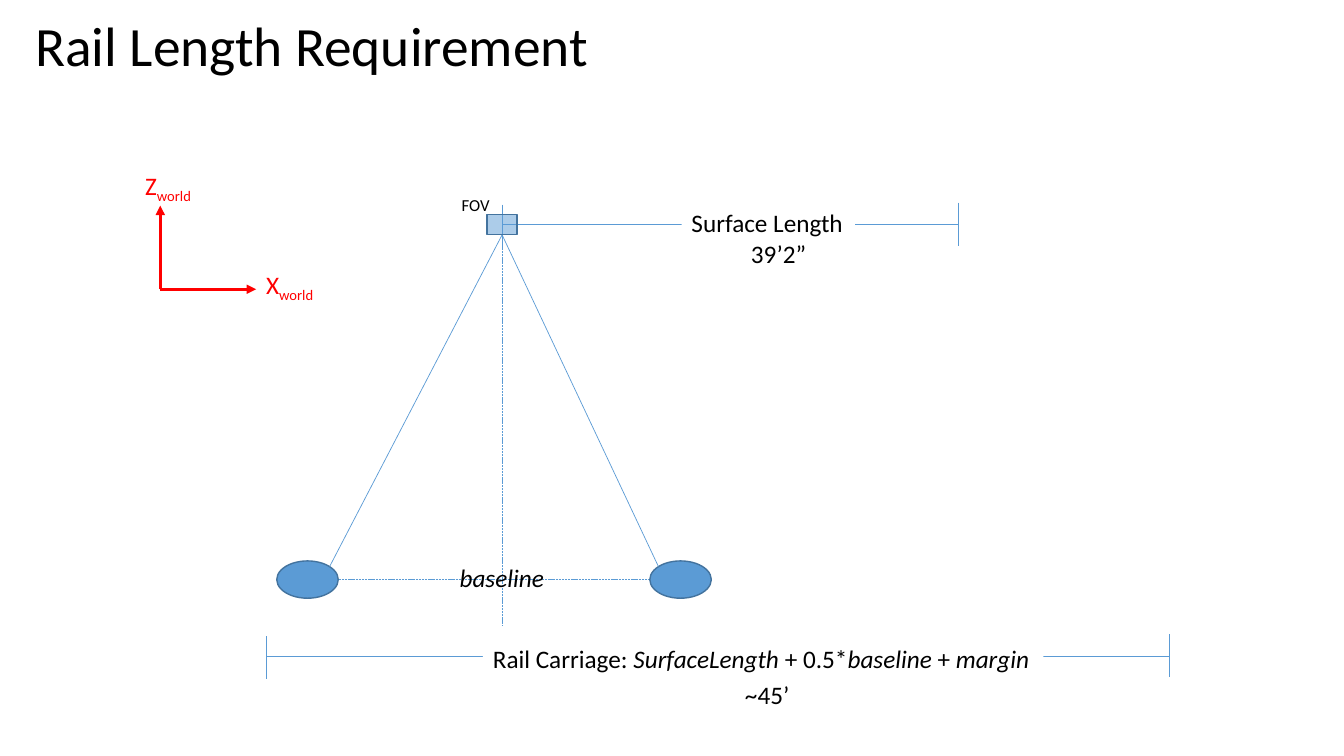
from lxml import etree
from pptx import Presentation
from pptx import util as u
from pptx.dml.color import RGBColor
from pptx.enum import dml, shapes, text
from pptx.oxml.ns import qn

WIDE, HIGH = 13.33, 7.5
BLUE, EDGE, RED, BLACK, WHITE = "5B9BD5", "43739E", "FF0000", "000000", "FFFFFF"

TITLE = "Rail Length Requirement"
AXIS, TOP, BASE = 4.98, 2.23, 5.75
CAMS = (3.05, 6.75)
CAM_W, CAM_H = 0.61, 0.37
FOV_W, FOV_H = 0.3, 0.2
TICK = 0.43
ORIGIN = (1.59, 2.87)

SPANS = [
    (AXIS, 9.51, TOP, 2.03, 2.01),
    (2.64, 11.6, 6.51, 6.31, 6.29),
]
LABELS = [
    (4.79, 6.33, 5.56, 18, BLACK, WHITE, [
        ("Rail Carriage: ", ""), ("SurfaceLength", "i"), (" + 0.5*", ""),
        ("baseline", "i"), (" + ", ""), ("margin", "i")]),
    (4.46, 5.53, 1.05, 18, BLACK, None, [("baseline", "i")]),
    (2.54, 2.62, 0.72, 18, RED, None, [("X", ""), ("world", "sub")]),
    (1.34, 1.64, 0.72, 18, RED, None, [("Z", ""), ("world", "sub")]),
    (6.76, 2.01, 1.72, 18, BLACK, WHITE, [("Surface Length", "")]),
    (4.48, 1.88, 0.48, 12, BLACK, None, [("FOV", "")]),
    (7.35, 2.32, 0.81, 18, BLACK, None, [("39’2”", "")]),
    (7.29, 6.69, 0.65, 18, BLACK, None, [("~45’", "")]),
]


def color(code):
    return RGBColor.from_string(code)


def inch(*vals):
    return [u.Inches(v) for v in vals]


def style(font, **vals):
    font.color.rgb = color(vals.pop("ink"))
    for key, val in vals.items():
        setattr(font, key, val)


def line(x1, y1, x2, y2, ink=BLUE, width=0.5, dash=False, arrow=False):
    link = slide.shapes.add_connector(
        shapes.MSO_CONNECTOR.STRAIGHT, *inch(x1, y1, x2, y2))
    link.line.color.rgb = color(ink)
    link.line.width = u.Pt(width)
    if dash:
        link.line.dash_style = dml.MSO_LINE.SQUARE_DOT
    props = link._element.spPr
    if arrow:
        etree.SubElement(props.find(qn("a:ln")), qn("a:tailEnd"), type="triangle")
    etree.SubElement(props, qn("a:effectLst"))


def block(kind, x, y, w, h, alpha=None):
    item = slide.shapes.add_shape(kind, *inch(x - w / 2, y - h / 2, w, h))
    item.shadow.inherit = False
    item.fill.solid()
    item.fill.fore_color.rgb = color(BLUE)
    item.line.color.rgb = color(EDGE)
    item.line.width = u.Pt(1)
    if alpha:
        tint = item._element.spPr.find(qn("a:solidFill"))[0]
        etree.SubElement(tint, qn("a:alpha"), val=str(alpha * 1000))


def label(x, y, w, size, ink, fill, runs):
    box = slide.shapes.add_textbox(*inch(x, y, w, 0.4 * size / 18))
    if fill:
        box.fill.solid()
        box.fill.fore_color.rgb = color(fill)
    frame = box.text_frame
    frame.word_wrap = False
    frame.auto_size = text.MSO_AUTO_SIZE.SHAPE_TO_FIT_TEXT
    for words, mode in runs:
        run = frame.paragraphs[0].add_run()
        run.text = words
        style(run.font, name="Calibri", size=u.Pt(size), ink=ink, italic=mode == "i")
        if mode == "sub":
            run._r.get_or_add_rPr().set("baseline", "-25000")


deck = Presentation()
deck.slide_width, deck.slide_height = inch(WIDE, HIGH)
slide = deck.slides.add_slide(deck.slide_layouts[5])

head = slide.shapes.title
head.left, head.top, head.width, head.height = inch(0.25, 0.15, 11.5, 0.66)
frame = head.text_frame
frame.text = TITLE
frame.word_wrap = True
frame.auto_size = text.MSO_AUTO_SIZE.NONE
frame.vertical_anchor = text.MSO_ANCHOR.MIDDLE
para = frame.paragraphs[0]
para.alignment = text.PP_ALIGN.LEFT
para.line_spacing = 0.9
style(para.runs[0].font, name="Calibri", size=u.Pt(39.6), ink=BLACK)

for left, right, y, start, end in SPANS:
    line(left, y, right, y)
    line(left, start, left, start + TICK)
    line(right, end, right, end + TICK)

foot = TOP + FOV_H / 2
line(AXIS, 2.46, AXIS, 6.21, dash=True)
line(CAMS[1] - CAM_W / 2, BASE, CAMS[0] + CAM_W / 2, BASE, dash=True)
for cam, side in zip(CAMS, (1, -1)):
    block(shapes.MSO_SHAPE.OVAL, cam, BASE, CAM_W, CAM_H)
    line(cam + side * 0.22, BASE - 0.13, AXIS, foot)
block(shapes.MSO_SHAPE.RECTANGLE, AXIS, TOP, FOV_W, FOV_H, alpha=50)

x, y = ORIGIN
for dx, dy in ((0.95, 0), (0, -0.83)):
    line(x, y, x + dx, y + dy, RED, 2.25, arrow=True)

for item in LABELS:
    label(*item)

deck.save("out.pptx")
